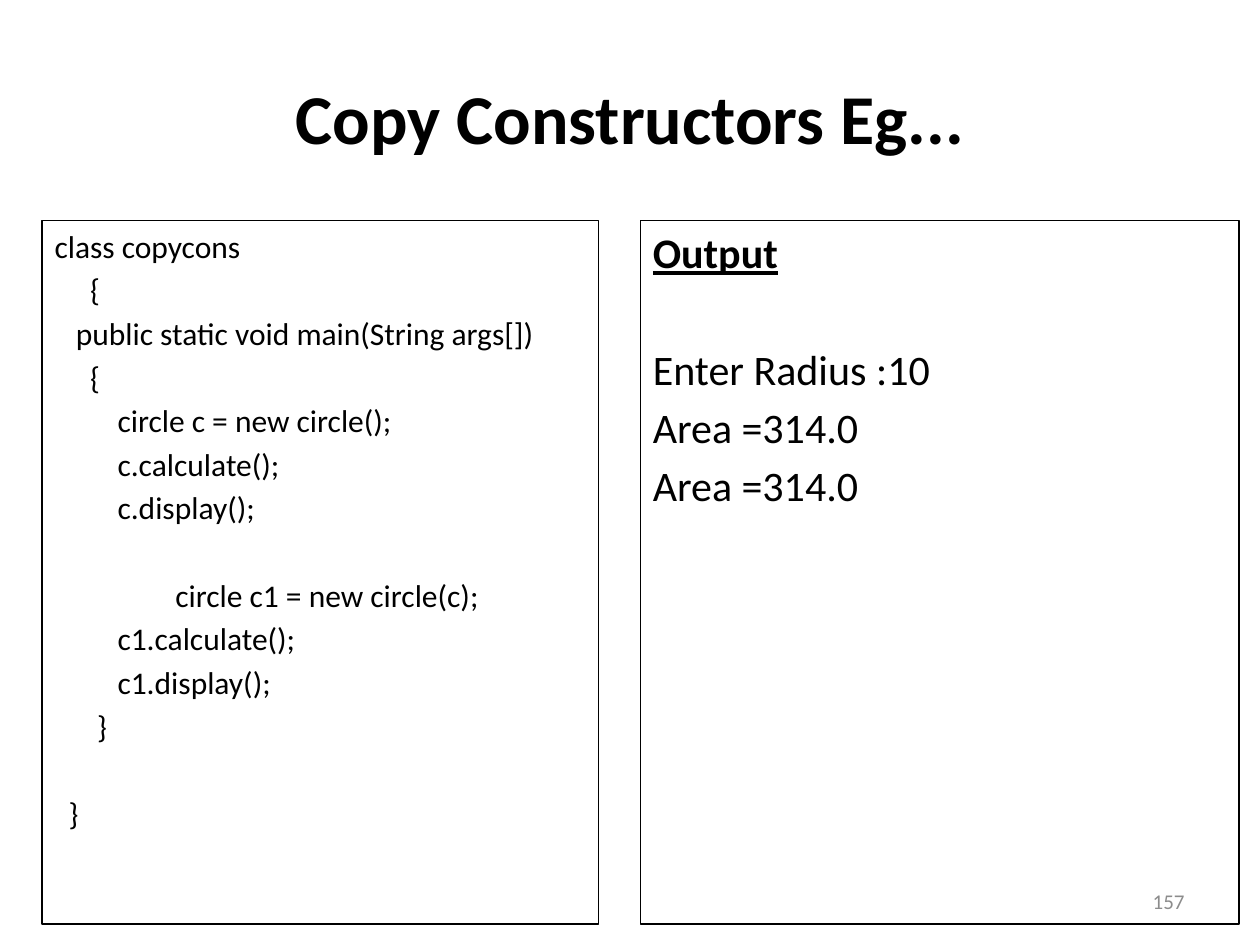
from dataclasses import dataclass

from pptx import Presentation
from pptx.dml.color import RGBColor
from pptx.enum.shapes import MSO_SHAPE as Shape
from pptx.enum.text import MSO_ANCHOR as Anchor, PP_ALIGN as Align
from pptx.util import Cm, Pt


@dataclass(frozen=True)
class Theme:
    font: str = "Calibri"
    ink: RGBColor = RGBColor(0, 0, 0)
    muted: RGBColor = RGBColor(0x8C, 0x8C, 0x8C)
    title: int = 40
    output: int = 24
    code: int = 18
    number: int = 12
    border: float = 0.75


THEME = Theme()

# Each group of lines is set apart by one line's height
CODE_GROUPS = [
    [
        "class copycons",
        "     {",
        "   public static void main(String args[])",
        "     {",
        "\tcircle c = new circle();",
        "\tc.calculate();",
        "\tc.display();",
    ],
    [
        "                 circle c1 = new circle(c);",
        "\tc1.calculate();",
        "\tc1.display();",
        "      }",
    ],
    ["  }"],
]
OUTPUT_GROUPS = [["Output"], ["Enter Radius :10", "Area =314.0", "Area =314.0"]]


def write(paragraph, text, size, color=THEME.ink, bold=False, underline=False,
          align=Align.LEFT, before=0):
    paragraph.alignment = align
    paragraph.space_before = Pt(before)
    run = paragraph.add_run()
    run.text = text
    font = run.font
    font.name, font.size = THEME.font, Pt(size)
    font.bold, font.underline = bold, underline
    font.color.rgb = color


def add_label(slide, box, text, **text_format):
    frame = slide.shapes.add_textbox(*map(Cm, box)).text_frame
    frame.word_wrap = True
    frame.vertical_anchor = Anchor.MIDDLE
    write(frame.paragraphs[0], text, **text_format)


def add_panel(slide, box, groups, size, line_gap, group_gap, underline_head=False):
    panel = slide.shapes.add_shape(Shape.RECTANGLE, *map(Cm, box))
    panel.shadow.inherit = False
    panel.fill.background()
    panel.line.color.rgb = THEME.ink
    panel.line.width = Pt(THEME.border)

    frame = panel.text_frame
    frame.word_wrap = True
    frame.vertical_anchor = Anchor.TOP
    for group_index, group in enumerate(groups):
        for line_index, line in enumerate(group):
            first = group_index == line_index == 0
            paragraph = frame.paragraphs[0] if first else frame.add_paragraph()
            gap = line_gap if line_index else group_gap
            heading = first and underline_head
            write(paragraph, line, size, bold=heading, underline=heading,
                  before=0 if first else gap)


def build_slide(presentation):
    slide = presentation.slides.add_slide(presentation.slide_layouts[6])

    # Title
    add_label(slide, (1.27, 0.76, 22.86, 3.18), "Copy Constructors Eg...",
              size=THEME.title, bold=True, align=Align.CENTER)

    # Code on the left, its output on the right
    top, height = 4.45, 14.18
    add_panel(slide, (0.85, top, 11.22, height), CODE_GROUPS, THEME.code,
              line_gap=3.3, group_gap=28.5)
    add_panel(slide, (12.91, top, 12.07, height), OUTPUT_GROUPS, THEME.output,
              line_gap=4.2, group_gap=38, underline_head=True)

    # Slide number
    add_label(slide, (18.2, 17.65, 5.93, 1.02), "157", size=THEME.number,
              color=THEME.muted, align=Align.RIGHT)


def main():
    presentation = Presentation()
    presentation.slide_width, presentation.slide_height = Cm(25.4), Cm(19.05)
    build_slide(presentation)
    presentation.save("out.pptx")


if __name__ == "__main__":
    main()
